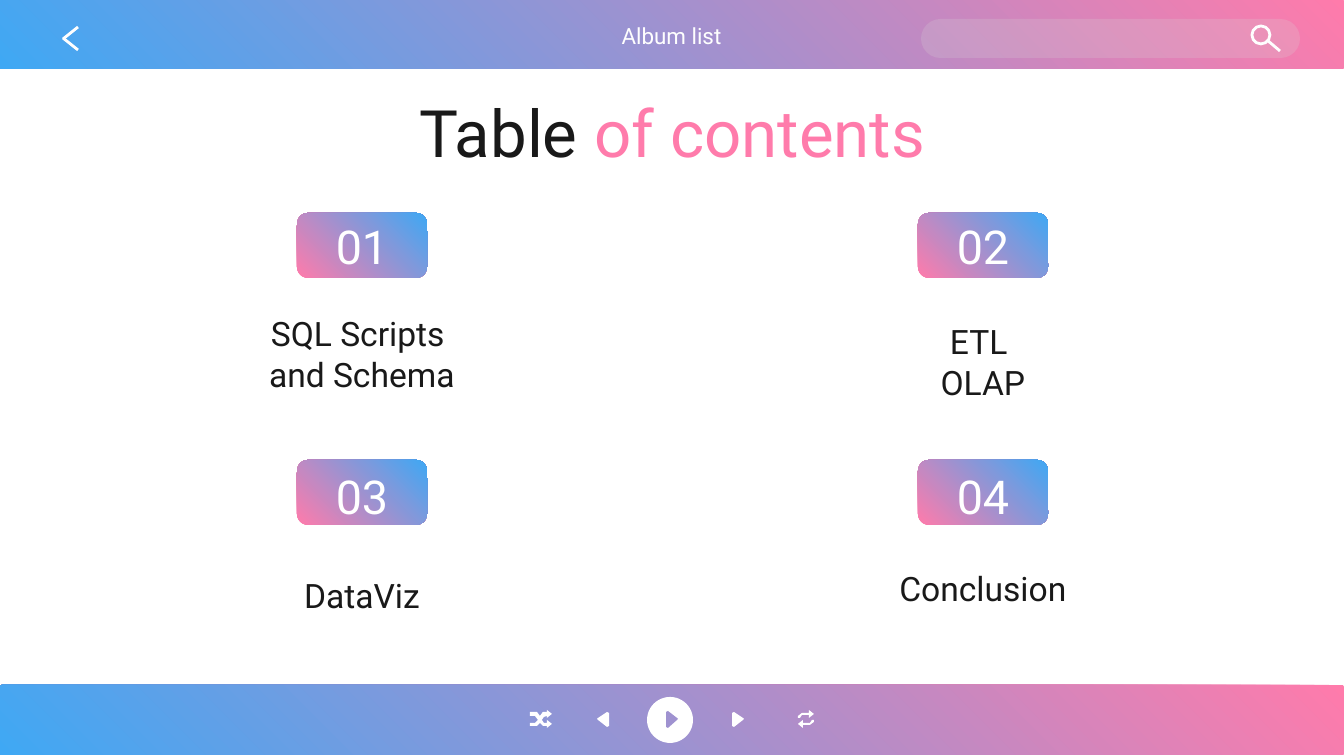
from dataclasses import dataclass

from lxml.etree import SubElement
from pptx import Presentation
from pptx.dml.color import RGBColor
from pptx.enum.shapes import MSO_CONNECTOR, MSO_SHAPE
from pptx.enum.text import MSO_ANCHOR, PP_ALIGN
from pptx.oxml.ns import qn
from pptx.util import Emu, Inches, Pt

PX = 914400 / 134.4  # EMU in one px
FONT = "Roboto"
COLORS = {
    "pink": "FF7BAB",
    "blue": "3FA8F4",
    "violet": "9F92D0",
    "ink": "191919",
    "white": "FFFFFF",
    "icon": "FEFEFE",
    "search": "D9D9D9",
}


@dataclass(frozen=True)
class Box:
    x: int
    y: int
    w: int
    h: int

    def emu(self) -> list[Emu]:
        return [px(v) for v in (self.x, self.y, self.w, self.h)]


@dataclass(frozen=True)
class Entry:
    number: str
    label: str
    column: int
    badge_y: int
    number_y: int
    label_y: int


@dataclass(frozen=True)
class Triangle:
    box: Box
    color: str
    left: bool = False


def px(value: int) -> Emu:
    return Emu(round(value * PX))


def rgb(name: str) -> RGBColor:
    return RGBColor.from_string(COLORS[name])


def add_plain(s, kind, box: Box):
    sp = s.shapes.add_shape(kind, *box.emu())
    sp.shadow.inherit = False
    sp.line.fill.background()
    return sp


def add_gradient(s, box: Box, radius: float, angle: int) -> None:
    sp = add_plain(s, MSO_SHAPE.ROUNDED_RECTANGLE, box)
    sp.adjustments[0] = radius
    sp.fill.gradient()
    sp.fill.gradient_angle = angle
    for stop, name in zip(sp.fill.gradient_stops, ("pink", "blue")):
        stop.color.rgb = rgb(name)


def add_stroke(s, x1: int, y1: int, x2: int, y2: int) -> None:
    line = s.shapes.add_connector(MSO_CONNECTOR.STRAIGHT, *map(px, (x1, y1, x2, y2)))
    line.line.color.rgb = rgb("icon")
    line.line.width = Pt(1.5)
    SubElement(line._element.spPr, qn("a:effectLst"))


def add_outline(s, points: list[tuple[int, int]], color: str) -> None:
    builder = s.shapes.build_freeform(*points[0], scale=PX)
    builder.add_line_segments(points[1:], close=True)
    sp = builder.convert_to_shape()
    sp.shadow.inherit = False
    sp.fill.solid()
    sp.fill.fore_color.rgb = rgb(color)
    sp.line.fill.background()


def add_triangle(s, t: Triangle) -> None:
    w, h, mid = t.box.w, t.box.h, t.box.h // 2
    points = [(0, 1), (2, 0), (w - 1, mid - 1), (w, mid), (w - 1, mid + 1), (2, h), (0, h - 1)]
    add_outline(
        s,
        [(t.box.x + (w - x if t.left else x), t.box.y + y) for x, y in points],
        t.color,
    )


def add_text(s, box: Box, parts: list[tuple[str, str]], size: int,
             anchor=MSO_ANCHOR.MIDDLE) -> None:
    tf = s.shapes.add_textbox(*box.emu()).text_frame
    tf.word_wrap = True
    tf.vertical_anchor = anchor
    tf.margin_left = tf.margin_right = tf.margin_top = tf.margin_bottom = Inches(0.1)
    p = tf.paragraphs[0]
    p.alignment = PP_ALIGN.CENTER
    p.font.name = FONT
    p.font.size = Pt(size)
    if len(parts) == 1:
        p.font.color.rgb = rgb(parts[0][1])
    for text, color in parts:
        for i, piece in enumerate(text.split("\n")):
            if i:
                p.add_line_break()
            r = p.add_run()
            r.text = piece
            if len(parts) > 1:
                r.font.color.rgb = rgb(color)


BADGE_X = (297, 918)
LABEL_X = (106, 727)
ENTRIES = [
    Entry("01", "SQL Scripts \nand Schema", 0, 213, 213, 321),
    Entry("02", "ETL \nOLAP", 1, 213, 213, 329),
    Entry("03", "DataViz", 0, 460, 463, 563),
    Entry("04", "Conclusion", 1, 460, 463, 556),
]
TRIANGLES = [
    Triangle(Box(597, 712, 12, 15), "white", left=True),
    Triangle(Box(666, 711, 12, 17), "violet"),
    Triangle(Box(732, 712, 12, 15), "white"),
]
SHUFFLE = [
    (547, 710), (552, 714), (547, 718), (547, 716), (544, 717), (542, 720), (544, 723),
    (547, 723), (547, 720), (552, 724), (547, 728), (547, 726), (543, 726), (540, 723),
    (537, 726), (530, 726), (530, 723), (535, 723), (538, 720), (535, 716), (530, 716),
    (530, 712), (537, 712), (540, 716), (543, 712), (547, 712),
]
REPEAT = [
    (809, 710), (814, 714), (809, 718), (809, 715), (802, 715),
    (800, 718), (798, 718), (798, 716), (802, 713), (809, 713),
]


def main() -> None:
    prs = Presentation()
    prs.slide_width, prs.slide_height = px(1344), px(756)
    s = prs.slides.add_slide(prs.slide_layouts[6])

    # Top and bottom bars
    for y in (-1, 685):
        add_gradient(s, Box(0, y, 1344, 70), 0.03, 225)

    # Search field with magnifier
    field = add_plain(s, MSO_SHAPE.ROUNDED_RECTANGLE, Box(921, 19, 379, 39))
    field.adjustments[0] = 0.5
    field.fill.solid()
    field.fill.fore_color.rgb = rgb("search")
    color = field._element.spPr.find(qn("a:solidFill"))[0]
    SubElement(color, qn("a:alpha"), val="21000")
    lens = add_plain(s, MSO_SHAPE.OVAL, Box(1252, 26, 18, 18))
    lens.fill.background()
    lens.line.color.rgb = rgb("icon")
    lens.line.width = Pt(1.5)
    add_stroke(s, 1267, 40, 1280, 51)

    # Back arrow
    add_stroke(s, 63, 39, 78, 27)
    add_stroke(s, 63, 38, 78, 50)

    # Player controls
    add_outline(s, SHUFFLE, "white")
    add_outline(s, REPEAT, "white")
    add_outline(s, [(1612 - x, 1438 - y) for x, y in REPEAT], "white")
    disc = add_plain(s, MSO_SHAPE.OVAL, Box(647, 697, 46, 46))
    disc.fill.solid()
    disc.fill.fore_color.rgb = rgb("white")
    for triangle in TRIANGLES:
        add_triangle(s, triangle)

    # Headings
    add_text(s, Box(106, 79, 1133, 85), [("Table ", "ink"), ("of contents", "pink")], 35,
             MSO_ANCHOR.TOP)
    add_text(s, Box(551, 9, 241, 48), [("Album list", "icon")], 12, MSO_ANCHOR.TOP)

    # Contents entries
    for e in ENTRIES:
        x = BADGE_X[e.column]
        add_gradient(s, Box(x, e.badge_y, 130, 65), 0.17, 45)
        add_text(s, Box(x, e.number_y, 130, 65), [(e.number, "white")], 25)
        add_text(s, Box(LABEL_X[e.column], e.label_y, 512, 65), [(e.label, "ink")], 18)

    prs.save("out.pptx")


if __name__ == "__main__":
    main()
